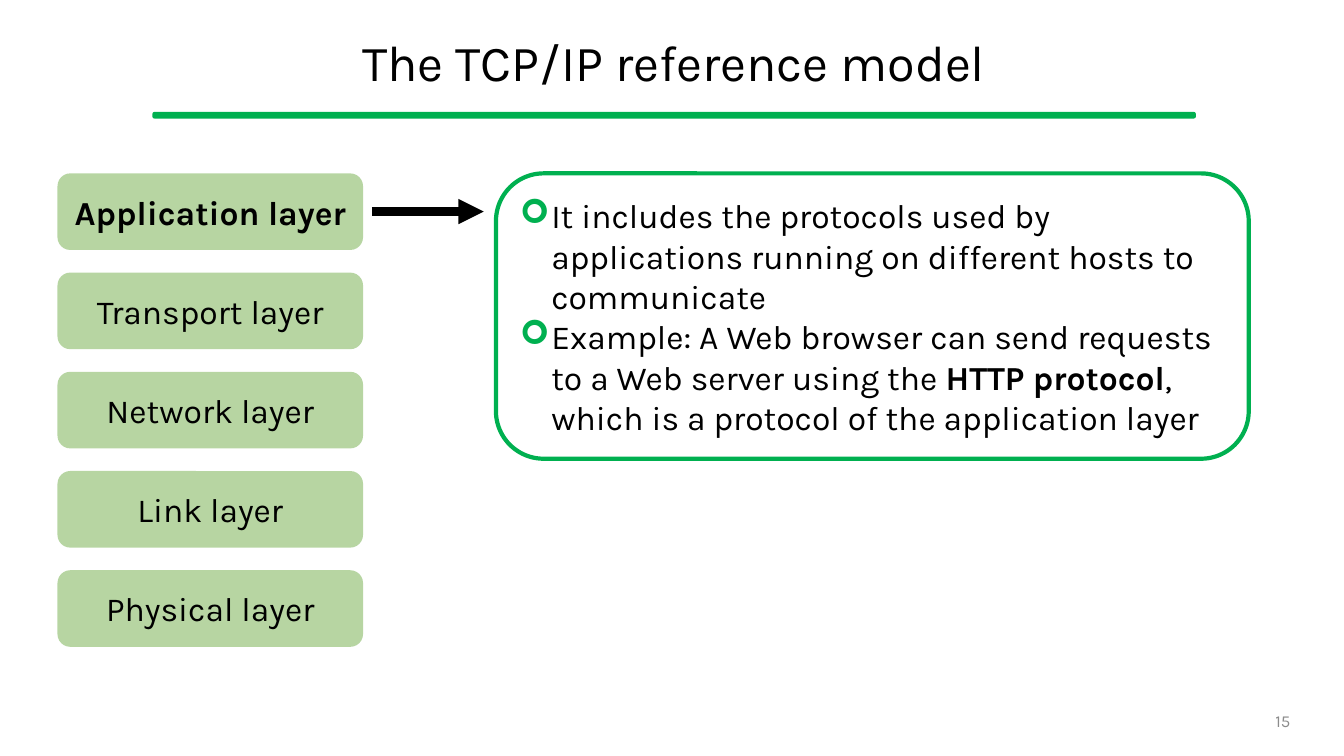
"""Builds a slide on the application layer of the TCP/IP reference model."""
from dataclasses import dataclass
from typing import Optional

from lxml.etree import SubElement
from pptx import Presentation
from pptx.dml.color import RGBColor
from pptx.dml.fill import FillFormat
from pptx.enum.shapes import MSO_CONNECTOR, MSO_SHAPE
from pptx.enum.text import MSO_ANCHOR, MSO_AUTO_SIZE, PP_ALIGN
from pptx.oxml.ns import qn
from pptx.shapes.autoshape import Shape
from pptx.slide import Slide
from pptx.text.text import Font, TextFrame, _Paragraph
from pptx.util import Cm, Pt

GREEN = "00B050"
LEAF = "70AD47"
BLACK = "000000"


@dataclass(frozen=True)
class Box:
    left: float
    top: float
    width: float
    height: float
    fill: str
    line: Optional[str] = None
    weight: float = 0
    round: float = 0.1667
    alpha: int = 100


@dataclass(frozen=True)
class Layer:
    name: str
    bold: bool = False


LAYERS = [
    Layer("Application layer", True),
    Layer("Transport layer"),
    Layer("Network layer"),
    Layer("Link layer"),
    Layer("Physical layer"),
]
POINTS = [
    [("It includes the protocols used by applications running on "
      "different hosts to communicate", False)],
    [("Example: A Web browser can send requests to a Web server using the ", False),
     ("HTTP protocol", True),
     (", which is a protocol of the application layer", False)],
]
LEFT, TOP, STEP = 1.45, 4.37, 2.5
RULE = Box(3.86, 2.84, 26.26, 0.13, GREEN, GREEN, 1, 0.26)
PANEL = Box(12.5, TOP, 18.97, 7.19, "FFFFFF", GREEN, 3)


def paint(fill: FillFormat, tone: str) -> None:
    fill.solid()
    fill.fore_color.rgb = RGBColor.from_string(tone)


def style(font: Font, size: float, tone: str = BLACK) -> None:
    font.name = "Karla"
    font.size = Pt(size)
    paint(font.fill, tone)


def place(shape: Shape, left: float, top: float, width: float, height: float) -> TextFrame:
    shape.left, shape.top = Cm(left), Cm(top)
    shape.width, shape.height = Cm(width), Cm(height)
    frame = shape.text_frame
    frame.word_wrap = True
    frame.auto_size = MSO_AUTO_SIZE.NONE
    frame.vertical_anchor = MSO_ANCHOR.MIDDLE
    return frame


def draw_box(slide: Slide, box: Box) -> Shape:
    shape = slide.shapes.add_shape(
        MSO_SHAPE.ROUNDED_RECTANGLE,
        Cm(box.left), Cm(box.top), Cm(box.width), Cm(box.height))
    shape.shadow.inherit = False
    shape.adjustments[0] = box.round
    paint(shape.fill, box.fill)
    if box.alpha < 100:
        tone = shape.fill._xPr.find(qn("a:solidFill"))[0]
        SubElement(tone, qn("a:alpha"), val=str(box.alpha * 1000))
    if box.line:
        paint(shape.line.fill, box.line)
        shape.line.width = Pt(box.weight)
    else:
        shape.line.fill.background()
    return shape


def draw_layer(slide: Slide, layer: Layer, row: int) -> None:
    box = Box(LEFT, TOP + row * STEP, 7.7, 1.93, LEAF, alpha=50)
    frame = draw_box(slide, box).text_frame
    frame.vertical_anchor = MSO_ANCHOR.MIDDLE
    para = frame.paragraphs[0]
    para.text = layer.name
    para.alignment = PP_ALIGN.CENTER
    style(para.font, 24)
    para.font.bold = layer.bold


def draw_arrow(slide: Slide) -> None:
    arrow = slide.shapes.add_connector(
        MSO_CONNECTOR.STRAIGHT, Cm(9.37), Cm(5.33), Cm(12.19), Cm(5.33))
    paint(arrow.line.fill, BLACK)
    arrow.line.width = Pt(6)
    SubElement(arrow.line._get_or_add_ln(), qn("a:tailEnd"), type="triangle")
    SubElement(arrow._element.spPr, qn("a:effectLst"))


def add_mark(para: _Paragraph) -> None:
    props = para._p.get_or_add_pPr()
    props.set("marL", str(Cm(0.79)))
    props.set("indent", str(-Cm(0.79)))
    tone = SubElement(props, qn("a:buClr"))
    SubElement(tone, qn("a:srgbClr"), val=GREEN)
    SubElement(props, qn("a:buFont"), typeface="Wingdings")
    SubElement(props, qn("a:buChar"), char="➢")


def fill_list(frame: TextFrame) -> None:
    for row, point in enumerate(POINTS):
        para = frame.add_paragraph() if row else frame.paragraphs[0]
        para.space_before = Pt(0)
        add_mark(para)
        style(para.font, 24)
        for text, bold in point:
            run = para.add_run()
            run.text = text
            if bold:
                run.font.bold = True


def main() -> None:
    deck = Presentation()
    deck.slide_width, deck.slide_height = Cm(33.87), Cm(19.05)
    slide = deck.slides.add_slide(deck.slide_layouts[1])
    title, body = slide.placeholders

    draw_box(slide, RULE)
    head = place(title, 1.2, 0.46, 31.57, 2.39).paragraphs[0]
    head.text = "The TCP/IP reference model"
    head.alignment = PP_ALIGN.CENTER
    head.line_spacing = 0.9
    style(head.font, 36)

    panel = draw_box(slide, PANEL)
    panel._element.addnext(body._element)
    inset = 0.35
    fill_list(place(body, PANEL.left + inset, PANEL.top + inset,
                    PANEL.width - 2 * inset, PANEL.height - 2 * inset))

    draw_arrow(slide)
    for row, layer in enumerate(LAYERS):
        draw_layer(slide, layer, row)

    note = slide.shapes.add_textbox(0, 0, 0, 0)
    page = place(note, 23.92, 17.65, 8.85, 1.02).paragraphs[0]
    page.text = "15"
    page.alignment = PP_ALIGN.RIGHT
    style(page.font, 12, "8C8C8C")

    deck.save("out.pptx")


if __name__ == "__main__":
    main()
